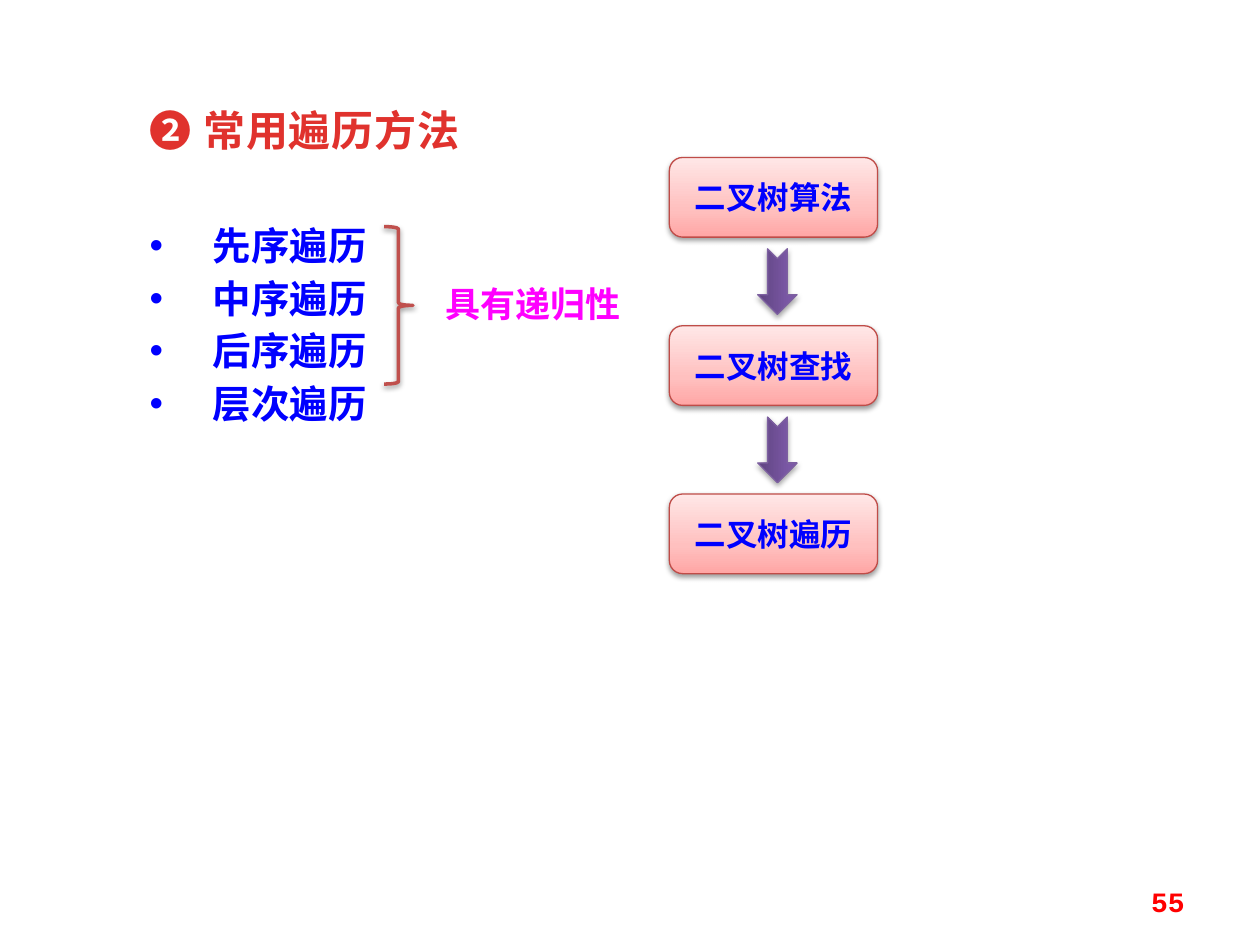
import pptx
import pptx.dml.color
import pptx.enum.shapes
import pptx.enum.text
import pptx.oxml
import pptx.oxml.ns
import pptx.util

Pt = pptx.util.Pt
SHAPES = pptx.enum.shapes.MSO_SHAPE
ALIGN = pptx.enum.text.PP_ALIGN
ANCHOR = pptx.enum.text.MSO_ANCHOR
NAMESPACE = pptx.oxml.ns.nsdecls("a")
CJK_FONT = "Noto Sans CJK SC"
PINK_STOPS = ((0, "FFA6A5"), (35, "FFC0BF"), (100, "FFE7E7"))
PURPLE_STOPS = ((0, "5F4480"), (80, "7B58A6"), (100, "7C57A8"))


def color(value):
    return pptx.dml.color.RGBColor.from_string(value)


def element(markup):
    head, rest = markup.split(" ", 1)
    return pptx.oxml.parse_xml(f"{head} {NAMESPACE} {rest}")


def apply_format(target, values):
    for name, value in values.items():
        setattr(target, name, value)


def write_text(shape, lines, size, fill, name=CJK_FONT, paragraph_format=None, anchor=ANCHOR.TOP):
    frame = shape.text_frame
    apply_format(frame, {"word_wrap": True, "vertical_anchor": anchor,
                         "auto_size": pptx.enum.text.MSO_AUTO_SIZE.NONE})
    frame.text = "\n".join(lines)
    for paragraph in frame.paragraphs:
        apply_format(paragraph, paragraph_format or {})
        for run in paragraph.runs:
            apply_format(run.font, {"name": name, "size": Pt(size), "bold": True})
            run.font.color.rgb = color(fill)
            run.font._element.append(element(f'<a:ea typeface="{CJK_FONT}"/>'))


def add_text(slide, box, lines, size, fill, **options):
    shape = slide.shapes.add_textbox(*map(Pt, box))
    write_text(shape, lines, size, fill, **options)
    return shape


def add_shadowed_shape(slide, kind, box, line_color, line_width, stops=None, opacity=38):
    shape = slide.shapes.add_shape(kind, *map(Pt, box))
    shape.fill.background()
    shape.line.color.rgb = color(line_color)
    shape.line.width = Pt(line_width)
    properties = shape._element.spPr
    if stops:
        marks = "".join(f'<a:gs pos="{position * 1000}"><a:srgbClr val="{value}"/></a:gs>'
                        for position, value in stops)
        gradient = element(f'<a:gradFill rotWithShape="1"><a:gsLst>{marks}</a:gsLst>'
                           '<a:lin ang="16200000" scaled="0"/></a:gradFill>')
        properties.replace(properties.find(pptx.oxml.ns.qn("a:noFill")), gradient)
    shape.shadow.inherit = False
    properties.find(pptx.oxml.ns.qn("a:effectLst")).append(element(
        f'<a:outerShdw blurRad="{Pt(3.1)}" dist="{Pt(1.6)}" dir="5400000" rotWithShape="0">'
        f'<a:srgbClr val="000000"><a:alpha val="{opacity * 1000}"/></a:srgbClr></a:outerShdw>'))
    return shape


def place_title(slide, box, text):
    title = slide.shapes.title
    apply_format(title, dict(zip(("left", "top", "width", "height"), map(Pt, box))))
    write_text(title, [text], 24, "E0322D",
               paragraph_format={"alignment": ALIGN.LEFT, "line_spacing": Pt(30)})
    for run in title.text_frame.paragraphs[0].runs:
        run.font._element.set("spc", "50")


def add_traversal_list(slide, box, items):
    left, top, width, height = box
    shape = add_text(slide, box, items, 22, "0000FF", name="Times New Roman",
                     paragraph_format={"line_spacing": Pt(30)})
    for paragraph in shape.text_frame.paragraphs:
        properties = paragraph._p.get_or_add_pPr()
        properties.set("marL", str(Pt(36)))
        properties.set("indent", str(-Pt(36)))
        properties.append(element('<a:buFont typeface="Arial"/>'))
        properties.append(element('<a:buChar char="•"/>'))
    add_shadowed_shape(slide, SHAPES.RIGHT_BRACE, (left + 141, top + 9.5, 16.5, 90), "C0504D", 2)
    add_text(slide, (left + 169, top + 32, 135.5, 37.5), ["具有递归性"], 20, "FF00FF",
             name="Times New Roman", paragraph_format={"line_spacing": Pt(30)})


def add_step_chain(slide, box, steps):
    left, top, width, height = box
    step_height = 45.5
    pitch = (height - step_height) / (len(steps) - 1)
    arrow_width, arrow_height = 37.5, 22.5
    for index, step in enumerate(steps):
        step_top = top + index * pitch
        shape = add_shadowed_shape(slide, SHAPES.ROUNDED_RECTANGLE,
                                   (left, step_top, width, step_height),
                                   "BF4C48", 0.75, PINK_STOPS)
        write_text(shape, [step], 18, "0000FF", anchor=ANCHOR.MIDDLE,
                   paragraph_format={"alignment": ALIGN.CENTER})
        if index:
            arrow_box = (left + 43, step_top - 36.5, arrow_width, arrow_height)
            arrow = add_shadowed_shape(slide, SHAPES.NOTCHED_RIGHT_ARROW, arrow_box,
                                       "7D60A0", 0.75, PURPLE_STOPS, opacity=35)
            arrow.rotation = 90


def add_page_number(slide, box, number):
    add_text(slide, box, [number], 16, "FF0000", name="Courier New", anchor=ANCHOR.MIDDLE,
             paragraph_format={"alignment": ALIGN.RIGHT})


def main():
    presentation = pptx.Presentation()
    apply_format(presentation, {"slide_width": Pt(720), "slide_height": Pt(540)})
    slide = presentation.slides.add_slide(presentation.slide_layouts[5])
    place_title(slide, (78.5, 54.7, 225.5, 37.5), "❷ 常用遍历方法")
    add_traversal_list(slide, (78.5, 120, 168.5, 128),
                       ["先序遍历", "中序遍历", "后序遍历", "层次遍历"])
    add_step_chain(slide, (382.5, 90, 119, 237.8), ["二叉树算法", "二叉树查找", "二叉树遍历"])
    add_page_number(slide, (516, 500.5, 168, 28.8), "55")
    presentation.save("out.pptx")


if __name__ == "__main__":
    main()
